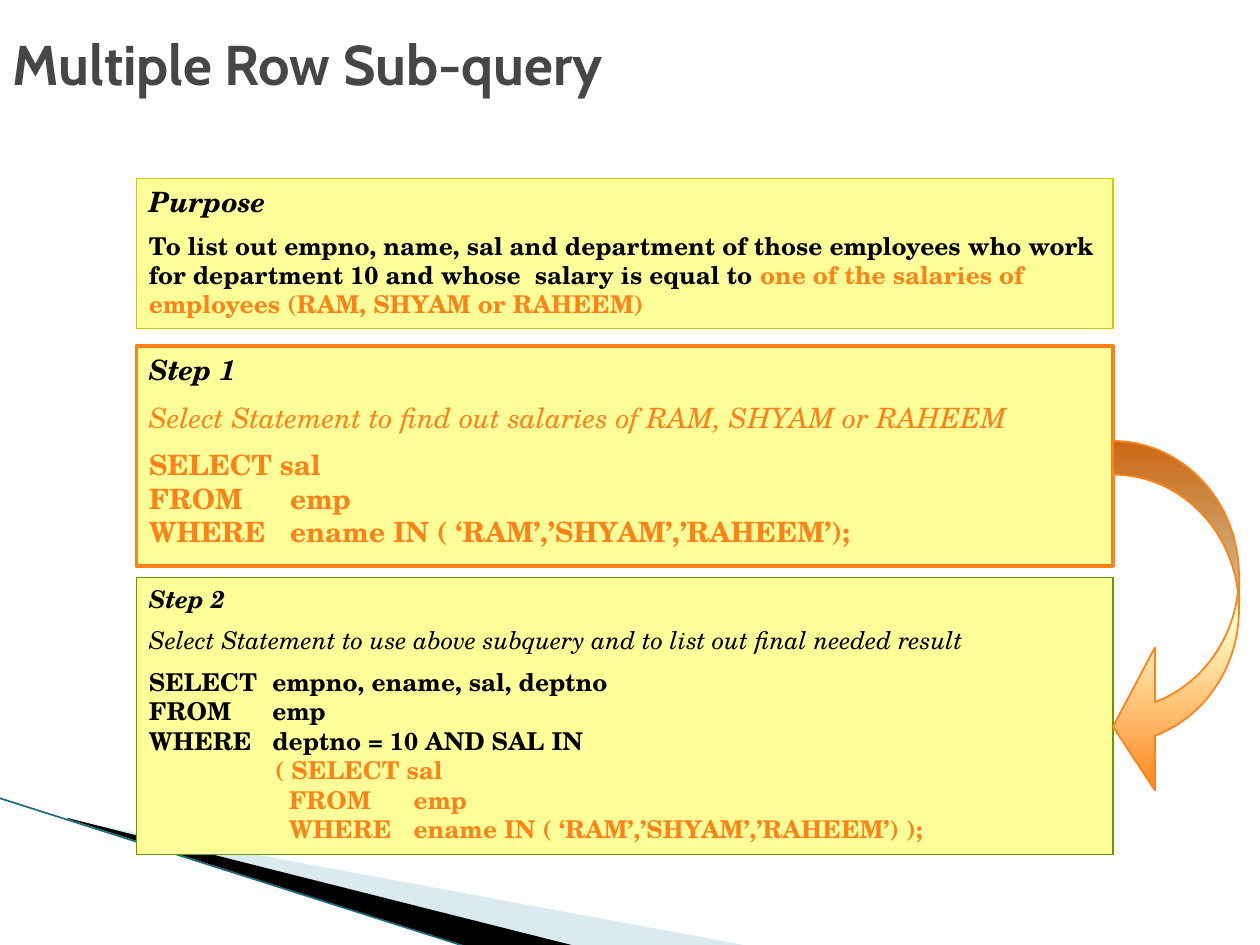
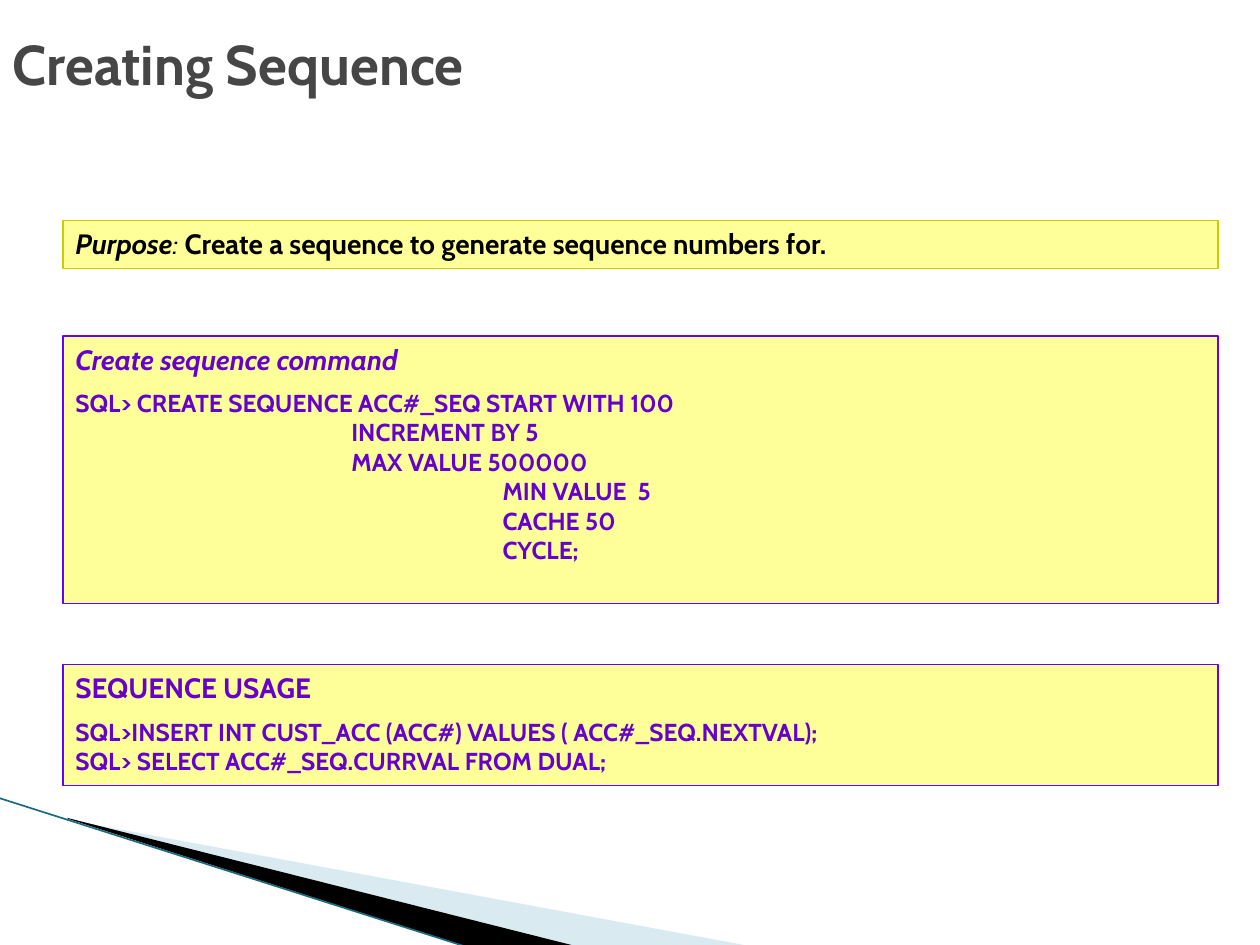
from dataclasses import dataclass
from pptx import Presentation
from pptx.dml.color import RGBColor
from pptx.enum.shapes import MSO_CONNECTOR as Wire, MSO_SHAPE as Kind
from pptx.enum.text import MSO_ANCHOR as Anchor, MSO_AUTO_SIZE as Fit, PP_ALIGN as Align
from pptx.oxml import parse_xml
from pptx.oxml.ns import nsdecls, qn
from pptx.util import Inches, Pt

HUES = {
    "title": "464646", "text": "000000", "panel": "FFFF99", "olive": "CCCC00",
    "green": "669900", "orange": "FF8119", "cream": "FFFFCC", "violet": "6600FF",
    "purple": "6600CC", "sky": "A0CBDC", "black": "000000", "teal": "1B6B7E",
}
SANS, SERIF = "Cabin", "TeX Gyre Schola"
COLS, ROWS = 120, 90
CELL = Inches(10) / COLS
RIBBON = [
    ("sky", [(6.6, 78.1), (71.4, 90.1), (54.7, 90.1), (6.6, 78)]),
    ("black", [(6.4, 77.9), (54.8, 90.1), (44.6, 90.2), (6.5, 78)]),
]


@dataclass
class Line:
    """One paragraph: runs are (text, style, hue), style holds b and i."""
    runs: list
    size: int = 14
    gap: bool = True
    tabs: tuple = ()


def cells(*nums):
    return [round(num * CELL) for num in nums]


def rgb(hue):
    return RGBColor.from_string(HUES[hue])


def say(text, style="b", hue="text", size=14):
    return Line([(text, style, hue)], size)


def code(rows, hue="text", tabs=(), gap=True):
    """Lines of code set tight, with only the first one spaced."""
    return [Line([(row, "b", hue)], 14, gap and not i, tabs)
            for i, row in enumerate(rows)]


def style_run(run, font, size, style, hue):
    face = run.font
    face.name, face.size = font, Pt(size)
    face.bold, face.italic = "b" in style, "i" in style
    face.color.rgb = rgb(hue)


def set_tabs(para, stops):
    marks = "".join(f'<a:tab pos="{Inches(stop)}" algn="l"/>' for stop in stops)
    props = para._p.get_or_add_pPr()
    props.append(parse_xml(f'<a:tabLst {nsdecls("a")}>{marks}</a:tabLst>'))


def write(frame, lines, font):
    for i, line in enumerate(lines):
        para = frame.add_paragraph() if i else frame.paragraphs[0]
        para.alignment = Align.LEFT
        para.space_before = Pt(line.size / 2 if i and line.gap else 0)
        if line.tabs:
            set_tabs(para, line.tabs)
        for text, style, hue in line.runs:
            run = para.add_run()
            run.text = text
            style_run(run, font, line.size, style, hue)


def panel(slide, box, edge, lines, font, weight=0.75):
    shape = slide.shapes.add_shape(Kind.RECTANGLE, *cells(*box))
    shape.shadow.inherit = False
    shape.fill.solid()
    shape.fill.fore_color.rgb = rgb("panel")
    shape.line.color.rgb = rgb(edge)
    shape.line.width = Pt(weight)
    frame = shape.text_frame
    frame.word_wrap = True
    frame.vertical_anchor = Anchor.TOP
    write(frame, lines, font)


def arrow(slide, box):
    """Curved arrow with a gradient from orange through cream."""
    shape = slide.shapes.add_shape(Kind.CURVED_LEFT_ARROW, *cells(*box))
    shape.shadow.inherit = False
    for i, share in enumerate((0.267, 1.133, 0.333)):
        shape.adjustments[i] = share
    stops = "".join(
        f'<a:gs pos="{pos}"><a:srgbClr val="{HUES[hue]}"/></a:gs>'
        for pos, hue in ((0, "orange"), (50000, "cream"), (100000, "orange")))
    geom = shape.element.spPr.find(qn("a:prstGeom"))
    geom.addnext(parse_xml(
        f'<a:gradFill {nsdecls("a")}><a:gsLst>{stops}</a:gsLst>'
        '<a:lin ang="5400000" scaled="1"/></a:gradFill>'))
    shape.line.color.rgb = rgb("orange")
    shape.line.width = Pt(1)


def blade(slide, hue, spots):
    start, *rest = [cells(*spot) for spot in spots]
    form = slide.shapes.build_freeform(*start)
    form.add_line_segments(rest, close=True)
    shape = form.convert_to_shape()
    shape.shadow.inherit = False
    shape.fill.solid()
    shape.fill.fore_color.rgb = rgb(hue)
    shape.line.fill.background()
    return shape


def set_layout(layout, slide):
    """Place the title and move the ribbon from the slide to its layout."""
    for spot in list(layout.placeholders):
        if spot.placeholder_format.idx:
            spot.element.getparent().remove(spot.element)
        else:
            spot.left, spot.top, spot.width, spot.height = cells(0, 0, 99.2, 12)
    parts = [blade(slide, hue, spots) for hue, spots in RIBBON]
    tint = parts[0].element.spPr.find(f'{qn("a:solidFill")}/{qn("a:srgbClr")}')
    tint.append(parse_xml(f'<a:alpha {nsdecls("a")} val="40000"/>'))
    edge = slide.shapes.add_connector(Wire.STRAIGHT, *cells(-0.1, 76, 44.5, 90.2))
    edge.line.color.rgb = rgb("teal")
    edge.line.width = Pt(0.95)
    edge.element.spPr.append(parse_xml(f'<a:effectLst {nsdecls("a")}/>'))
    for part in parts + [edge]:
        layout.shapes.element.append(part.element)


def set_title(slide, text):
    frame = slide.shapes.title.text_frame
    frame.text = text
    frame.auto_size = Fit.NONE
    frame.vertical_anchor = Anchor.MIDDLE
    para = frame.paragraphs[0]
    para.alignment = Align.LEFT
    style_run(para.runs[0], SANS, 32, "b", "title")


def fill_query(slide):
    set_title(slide, "Multiple Row Sub-query")
    left, width = 13, 93
    panel(slide, (left, 17, width, 14.3), "olive", [
        say("Purpose", "bi", size=16),
        Line([("To list out empno, name, sal and department of those employees who "
               "work for department 10 and whose  salary is equal to ", "b", "text"),
              ("one of the salaries of employees (RAM, SHYAM or RAHEEM)",
               "b", "orange")]),
    ], SERIF)
    step = [
        say("Step 1", "bi", size=16),
        say("Select Statement to find out salaries of RAM, SHYAM or RAHEEM",
            "i", "orange", 16),
        *code(["SELECT sal", "FROM\temp",
               "WHERE\tename IN ( ‘RAM’,’SHYAM’,’RAHEEM’);"], "orange", (1.12,)),
    ]
    for line in step:
        line.size = 16
    panel(slide, (left, 33, width, 20.9), "orange", step, SERIF, 2.25)
    panel(slide, (left, 55, width, 26.4), "green", [
        say("Step 2", "bi"),
        say("Select Statement to use above subquery and to list out final needed "
            "result", "i"),
        *code(["SELECT\tempno, ename, sal, deptno", "FROM\temp",
               "WHERE\tdeptno = 10 AND SAL IN"], tabs=(0.98,)),
        *code(["\t( SELECT sal"], "orange", (1,), False),
        *code(["\tFROM\temp", "\tWHERE\tename IN ( ‘RAM’,’SHYAM’,’RAHEEM’) );"],
              "orange", (1.11, 2.1), False),
    ], SERIF)
    arrow(slide, (left + width, 42, 12, 34))


def fill_sequence(slide):
    set_title(slide, "Creating Sequence")
    left, width = 6, 110
    panel(slide, (left, 21, width, 4.6), "olive", [
        Line([("Purpose", "bi", "text"), (": ", "i", "text"),
              ("Create a sequence to generate sequence numbers for.", "b", "text")],
             16),
    ], SANS)
    panel(slide, (left, 32, width, 25.5), "violet", [
        say("Create sequence command", "bi", "purple", 16),
        *code(["SQL> CREATE SEQUENCE ACC#_SEQ START WITH 100"], "purple"),
        *code(["\tINCREMENT BY 5", "\tMAX VALUE 500000"], "purple", (2.19,), False),
        *code(["\tMIN VALUE  5", "\tCACHE 50", "\tCYCLE;"], "purple", (3.39,), False),
    ], SANS)
    panel(slide, (left, 63.3, width, 11.5), "violet", [
        say("SEQUENCE USAGE", "b", "purple", 16),
        *code(["SQL>INSERT INT CUST_ACC (ACC#) VALUES ( ACC#_SEQ.NEXTVAL);",
               "SQL> SELECT ACC#_SEQ.CURRVAL FROM DUAL;"], "purple"),
    ], SANS)


def main():
    deck = Presentation()
    deck.slide_width, deck.slide_height = cells(COLS, ROWS)
    layout = deck.slide_layouts.get_by_name("Title Only")
    first, second = [deck.slides.add_slide(layout) for _ in range(2)]
    set_layout(layout, first)
    fill_query(first)
    fill_sequence(second)
    deck.save("out.pptx")


if __name__ == "__main__":
    main()
